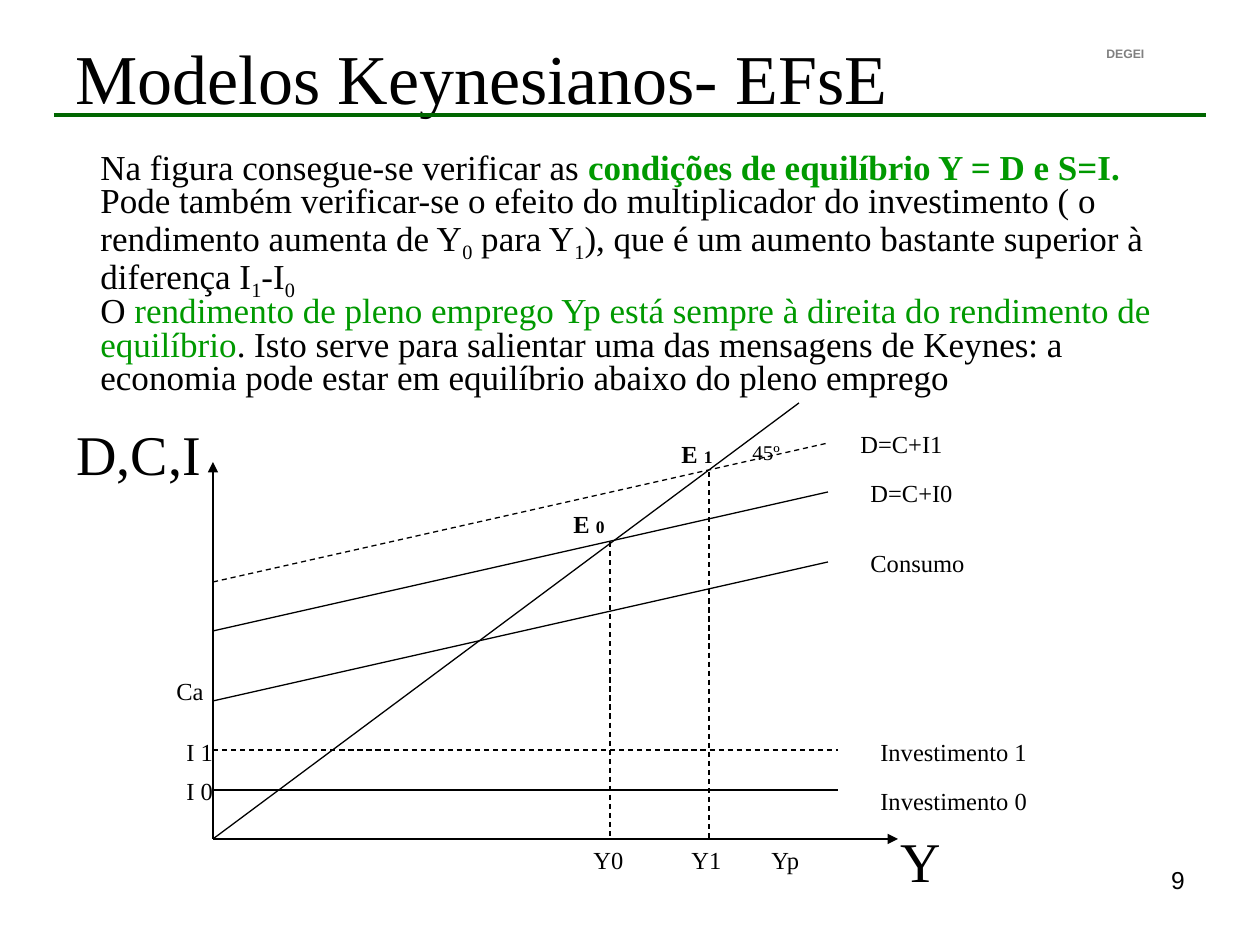
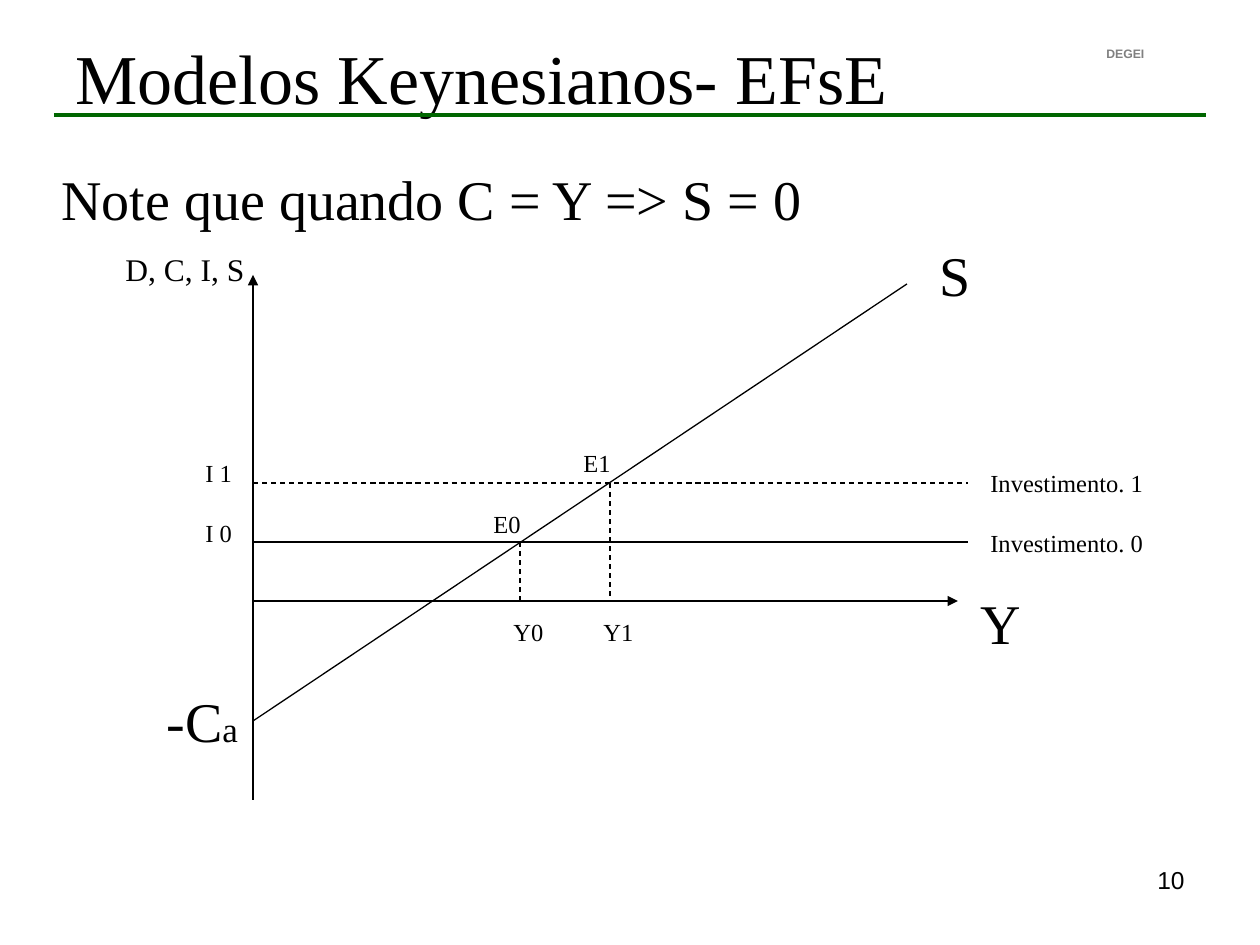
import pptx
import pptx.util
import pptx.dml.color
import pptx.enum.dml
import pptx.enum.shapes
import pptx.enum.text
import pptx.oxml
import pptx.oxml.ns

SCALE = 914400 // 126  # EMU per pixel
BLACK, GREEN, DARK_GREEN, GREY = "000000", "009900", "006600", "808080"
SERIF, SANS = "Times New Roman", "Arial"
TITLE = "Modelos Keynesianos- EFsE"
SUB = {"baseline": -25000}
LEFT = pptx.enum.text.PP_ALIGN.LEFT
RIGHT = pptx.enum.text.PP_ALIGN.RIGHT

# Content: a text is a string or a list of (text, format) runs
explanation = [
    [("Na figura consegue-se verificar as ", {}),
     ("condições de equilíbrio Y = D e S=I. ", {"color": GREEN, "bold": True}),
     ("Pode também verificar-se o efeito do multiplicador do investimento "
      "( o rendimento aumenta de Y", {}),
     ("0", SUB), (" para Y", {}), ("1", SUB),
     ("), que é um aumento bastante superior à diferença I", {}),
     ("1", SUB), ("-I", {}), ("0", SUB)],
    [("O ", {}),
     ("rendimento de pleno emprego Yp está sempre à direita do rendimento "
      "de equilíbrio", {"color": GREEN}),
     (". Isto serve para salientar uma das mensagens de Keynes: a economia "
      "pode estar em equilíbrio abaixo do pleno emprego", {})],
]


def equilibrium(number):
    return [("E ", {"bold": True}), (number, {"bold": True, "size": 10})]


# Diagrams: labels are (text, left, top, width, size)
# and lines are (start x, start y, end x, end y)
ORIGIN_X, ORIGIN_Y = 213, 839
DEMAND_END, DEMAND_RISE = 828, 139
CONSUMPTION, DEMAND_0, DEMAND_1 = [
    (ORIGIN_X, intercept, DEMAND_END, intercept - DEMAND_RISE)
    for intercept in (701, 631, 582)]
demand_diagram = {
    "texts": [(explanation, 88, 147, 1103, 20)],
    "spacing": 0.8,
    "axes": [(ORIGIN_X, ORIGIN_Y, ORIGIN_X, 462),
             (ORIGIN_X, ORIGIN_Y, 898, ORIGIN_Y)],
    "solid": [(ORIGIN_X, 790, 838, 790), (ORIGIN_X, ORIGIN_Y, 799, 403),
              CONSUMPTION, DEMAND_0],
    "dashed": [(ORIGIN_X, 750, 838, 750), DEMAND_1,
               (610, 542, 610, ORIGIN_Y), (709, 472, 709, ORIGIN_Y)],
    "labels": [
        ("Y", 888, 820, 69, 32), ("D,C,I", 64, 413, 188, 32),
        ("Investimento 1", 868, 731, 228, 14),
        ("Investimento 0", 868, 780, 258, 14),
        ("I 1", 174, 731, 89, 14), ("I 0", 174, 770, 89, 14),
        ("45º", 740, 433, 59, 12), ("Consumo", 858, 542, 169, 14),
        ("Ca", 164, 670, 59, 14), ("D=C+I0", 858, 472, 129, 14),
        ("D=C+I1", 848, 423, 139, 14),
        (equilibrium("0"), 561, 503, 79, 14),
        (equilibrium("1"), 669, 433, 69, 14),
        ("Y0", 581, ORIGIN_Y, 79, 14), ("Y1", 679, ORIGIN_Y, 79, 14),
        ("Yp", 759, ORIGIN_Y, 79, 14)],
}
AXIS_X, AXIS_Y = 253, 601
INVEST_0, INVEST_1, INVEST_END = 542, 483, 968
savings_diagram = {
    "texts": [(["Note que quando C = Y => S = 0"], 49, 158, 886, 32)],
    "spacing": 1.0,
    "axes": [(AXIS_X, 800, AXIS_X, 275), (AXIS_X, AXIS_Y, 958, AXIS_Y)],
    "solid": [(AXIS_X, 721, 907, 284),
              (AXIS_X, INVEST_0, INVEST_END, INVEST_0)],
    "dashed": [(AXIS_X, INVEST_1, INVEST_END, INVEST_1),
               (520, INVEST_0, 520, AXIS_Y), (610, INVEST_1, 610, AXIS_Y)],
    "labels": [
        ("Y", 968, 582, 69, 32), ("D, C, I, S", 113, 244, 179, 18),
        ("S", 927, 234, 100, 32),
        ([("-C", {}), ("a", {"size": 20})], 154, 680, 118, 32),
        ("Investimento. 1", 978, 462, 179, 14),
        ("Investimento. 0", 978, 522, 179, 14),
        ("I 1", 193, 452, 89, 14), ("I 0", 193, 512, 89, 14),
        ("E0", 481, 503, 59, 14), ("E1", 571, 442, 59, 14),
        ("Y0", 501, 611, 79, 14), ("Y1", 591, 611, 79, 14)],
}


def px(value):
    return pptx.util.Emu(int(value * SCALE))


def rgb(value):
    return pptx.dml.color.RGBColor.from_string(value)


def set_font(font, size=None, color=None, bold=None, name=None):
    if size:
        font.size = pptx.util.Pt(size)
    if color:
        font.color.rgb = rgb(color)
    if bold is not None:
        font.bold = bold
    if name:
        font.name = name


def fill_paragraph(paragraph, content, size, color=BLACK, bold=False,
                   name=SERIF, align=LEFT):
    paragraph.alignment = align
    set_font(paragraph.font, size, color, bold, name)
    runs = [(content, {})] if isinstance(content, str) else content
    for text, changes in runs:
        run = paragraph.add_run()
        run.text = text
        changes = dict(changes)
        baseline = changes.pop("baseline", None)
        set_font(run.font, **changes)
        if baseline:
            run.font._element.set("baseline", str(baseline))


def add_text(slide, paragraphs, left, top, width, size, spacing=None,
             **style):
    # One line of text plus the default insets
    height = size * 2.1 + 13
    box = slide.shapes.add_textbox(px(left), px(top), px(width), px(height))
    frame = box.text_frame
    frame.word_wrap = True
    for index, content in enumerate(paragraphs):
        paragraph = frame.add_paragraph() if index else frame.paragraphs[0]
        fill_paragraph(paragraph, content, size, **style)
        if spacing:
            paragraph.line_spacing = spacing
    return box


def add_line(slide, ends, color=BLACK, width=0.75, dashed=False,
             arrow=False):
    line = slide.shapes.add_connector(
        pptx.enum.shapes.MSO_CONNECTOR.STRAIGHT, *map(px, ends))
    line.line.color.rgb = rgb(color)
    line.line.width = pptx.util.Pt(width)
    if dashed:
        line.line.dash_style = pptx.enum.dml.MSO_LINE.DASH
    properties = line._element.spPr
    if arrow:
        tail = pptx.oxml.parse_xml(
            f'<a:tailEnd {pptx.oxml.ns.nsdecls("a")} type="triangle"/>')
        line.line._get_or_add_ln().append(tail)
    properties.append(pptx.oxml.parse_xml(
        f'<a:effectLst {pptx.oxml.ns.nsdecls("a")}/>'))


def add_frame(slide, number):
    # Department mark, rule, page number and title
    add_text(slide, ["DEGEI"], 1094, 40, 106, 7, color=GREY, bold=True,
             name=SANS)
    add_line(slide, (54, 115, 1206, 115), DARK_GREEN, 2.25)
    add_text(slide, [str(number)], 903, 859, 294, 14, name=SANS, align=RIGHT)
    title = slide.shapes.title
    title.left, title.top, title.width, title.height = map(
        px, (63, 38, 1134, 77))
    frame = title.text_frame
    frame.auto_size = pptx.enum.text.MSO_AUTO_SIZE.NONE
    frame.vertical_anchor = pptx.enum.text.MSO_ANCHOR.MIDDLE
    fill_paragraph(frame.paragraphs[0], TITLE, 40)


presentation = pptx.Presentation()
presentation.slide_width = pptx.util.Inches(10)
presentation.slide_height = pptx.util.Inches(7.5)
title_only = presentation.slide_layouts[5]

for number, diagram in enumerate((demand_diagram, savings_diagram), 9):
    slide = presentation.slides.add_slide(title_only)
    add_frame(slide, number)
    for text in diagram["texts"]:
        add_text(slide, *text, spacing=diagram["spacing"])
    for ends in diagram["axes"]:
        add_line(slide, ends, arrow=True)
    for ends in diagram["solid"]:
        add_line(slide, ends)
    for ends in diagram["dashed"]:
        add_line(slide, ends, dashed=True)
    for content, left, top, width, size in diagram["labels"]:
        add_text(slide, [content], left, top, width, size)

presentation.save("out.pptx")
